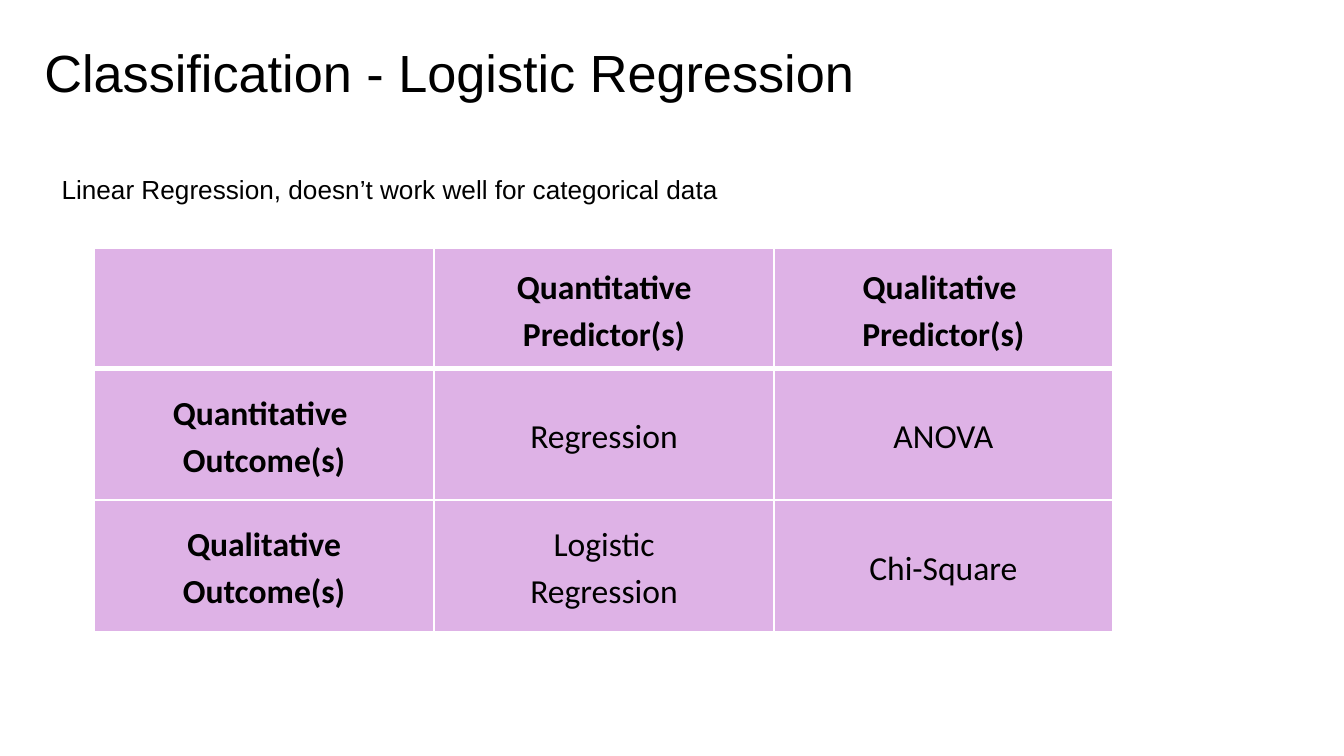
import pptx
import pptx.util
import pptx.dml.color
import pptx.enum.text
import pptx.oxml
import pptx.oxml.ns

Inches, Pt = pptx.util.Inches, pptx.util.Pt
ALIGN, ANCHOR = pptx.enum.text.PP_ALIGN, pptx.enum.text.MSO_ANCHOR

# Content: each table cell is a tuple of paragraphs
TITLE = "Classification - Logistic Regression"
NOTE = "Linear Regression, doesn’t work well for categorical data"
ROWS = [
    [(), ("Quantitative Predictor(s)",), ("Qualitative ", "Predictor(s)")],
    [("Quantitative ", "Outcome(s)"), ("Regression",), ("ANOVA",)],
    [("Qualitative Outcome(s)",), ("Logistic", "Regression"), ("Chi-Square",)],
]
COLUMN_WIDTHS = [2.53, 2.53, 2.52]
ROW_HEIGHTS = [0.89, 0.98, 0.98]

THEME = {
    "text": "000000", "cell": "DEB2E6", "border": "FFFFFF",
    "heading_font": "Arial", "table_font": "Calibri",
    "title_size": 28, "note_size": 14, "table_size": 18,
    "thin": 1, "thick": 3, "line_spacing": 1.15,
}


def color(name):
    return pptx.dml.color.RGBColor.from_string(THEME[name])


def add_run(paragraph, text, font, size, bold=False):
    run = paragraph.add_run()
    run.text = text
    run.font.name = THEME[font]
    run.font.size = Pt(THEME[size])
    run.font.bold = bold
    run.font.color.rgb = color("text")


def write_line(shape, text, size):
    frame = shape.text_frame
    frame.word_wrap = True
    frame.auto_size = pptx.enum.text.MSO_AUTO_SIZE.NONE
    frame.vertical_anchor = ANCHOR.TOP
    frame.margin_left = frame.margin_right = Inches(0.1)
    frame.margin_top = frame.margin_bottom = Inches(0.1)
    paragraph = frame.paragraphs[0]
    paragraph.alignment = ALIGN.LEFT
    paragraph.line_spacing = 1.0
    add_run(paragraph, text, "heading_font", size)


def set_borders(cell, widths):
    """Put the four border lines ahead of the cell's fill."""
    properties = cell._tc.get_or_add_tcPr()
    for index, (side, width) in enumerate(widths.items()):
        properties.insert(index, pptx.oxml.parse_xml(
            f'<a:ln{side} {pptx.oxml.ns.nsdecls("a")} w="{Pt(width)}"><a:solidFill>'
            f'<a:srgbClr val="{THEME["border"]}"/></a:solidFill></a:ln{side}>'))


def fill_cell(cell, lines, row, column):
    cell.fill.solid()
    cell.fill.fore_color.rgb = color("cell")
    cell.vertical_anchor = ANCHOR.MIDDLE
    cell.margin_left = cell.margin_right = Inches(0.1)
    cell.margin_top = cell.margin_bottom = Inches(0.05)
    frame = cell.text_frame
    for index, line in enumerate(lines):
        paragraph = frame.add_paragraph() if index else frame.paragraphs[0]
        paragraph.alignment = ALIGN.CENTER
        paragraph.line_spacing = THEME["line_spacing"]
        add_run(paragraph, line, "table_font", "table_size", row == 0 or column == 0)
    # The thick rule separates the header row from the body
    thin, thick = THEME["thin"], THEME["thick"]
    set_borders(cell, {"L": thin, "R": thin,
                       "T": thick if row == 1 else thin,
                       "B": thick if row == 0 else thin})


def main():
    # Widescreen 16:9 slide
    presentation = pptx.Presentation()
    presentation.slide_width = Inches(10)
    presentation.slide_height = presentation.slide_width * 9 // 16
    slide = presentation.slides.add_slide(presentation.slide_layouts.get_by_name("Title Only"))

    # Title
    title = slide.shapes.title
    title.left, title.top = Inches(0.23), Inches(0.2)
    title.width, title.height = Inches(9.32), Inches(0.63)
    write_line(title, TITLE, "title_size")

    # Note above the table
    note = slide.shapes.add_textbox(Inches(0.36), Inches(1.19), Inches(6.53), Inches(0.41))
    write_line(note, NOTE, "note_size")

    # Predictor and outcome table
    table = slide.shapes.add_table(
        len(ROWS), len(COLUMN_WIDTHS), Inches(0.7), Inches(1.85),
        Inches(sum(COLUMN_WIDTHS)), Inches(sum(ROW_HEIGHTS))).table
    for column, width in zip(table.columns, COLUMN_WIDTHS):
        column.width = Inches(width)
    for row, height in zip(table.rows, ROW_HEIGHTS):
        row.height = Inches(height)
    for row, cells in enumerate(ROWS):
        for column, lines in enumerate(cells):
            fill_cell(table.cell(row, column), lines, row, column)

    presentation.save("out.pptx")


if __name__ == "__main__":
    main()
